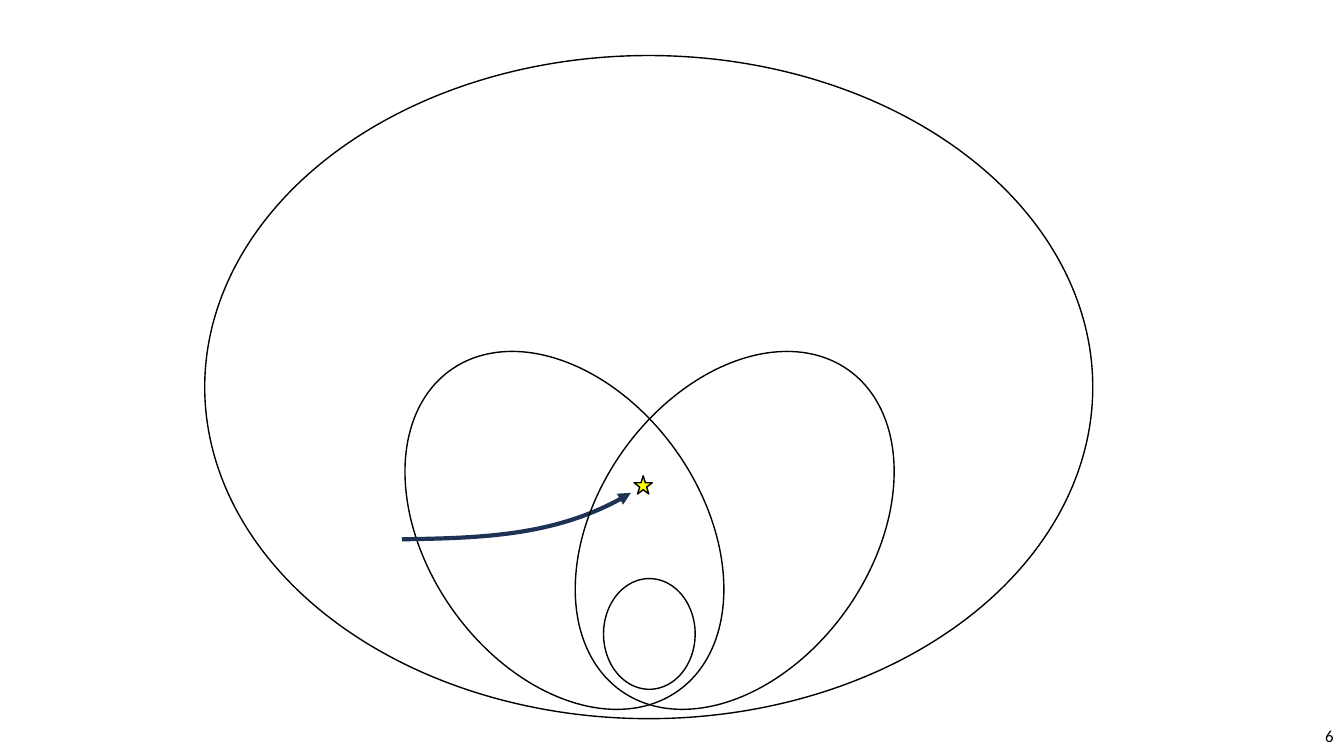
from lxml.etree import SubElement
from pptx import Presentation
from pptx.dml.color import RGBColor
from pptx.enum.shapes import MSO_SHAPE as SHAPE
from pptx.enum.text import MSO_ANCHOR as ANCHOR, PP_ALIGN as ALIGN
from pptx.oxml.ns import qn
from pptx.util import Cm, Pt

BLACK, WHITE, YELLOW, NAVY = "000000", "FFFFFF", "FFFF00", "1E3256"


def rgb(value):
    return RGBColor.from_string(value)


def style(sp, line, width, fill=None):
    sp.shadow.inherit = False
    sp.line.color.rgb = rgb(line)
    sp.line.width = Pt(width)
    if fill:
        sp.fill.solid()
        sp.fill.fore_color.rgb = rgb(fill)
    else:
        sp.fill.background()


def add_outline(s, kind, box, fill=None, rotation=0):
    sp = s.shapes.add_shape(kind, *[Cm(v) for v in box])
    style(sp, BLACK, 1, fill)
    sp.rotation = rotation


def add_curved_arrow(s, points):
    start, *rest = [(Cm(x), Cm(y)) for x, y in points]
    builder = s.shapes.build_freeform(*start)
    builder.add_line_segments(rest, close=False)
    sp = builder.convert_to_shape()
    style(sp, NAVY, 3)

    # Join the three segments into one Bezier curve
    path = next(sp._element.iter(qn("a:path")))
    segments = path.findall(qn("a:lnTo"))
    curve = SubElement(path, qn("a:cubicBezTo"))
    for segment in segments:
        curve.append(segment[0])
        path.remove(segment)

    # Arrowhead at the end
    SubElement(sp.line._get_or_add_ln(), qn("a:tailEnd"), type="triangle")


def add_set_diagram(s, left, top, width, height):
    def place(x, y, w, h):
        return left + x, top + y, w, h

    # Left set and the core shared by both sets
    add_outline(s, SHAPE.OVAL, place(5.61, 7.01, 6.91, 9.91), rotation=-35.3)
    add_outline(s, SHAPE.OVAL, place(10.05, 13.18, 2.31, 2.79), WHITE)

    # Star in the overlap, with the arrow to it
    add_outline(s, SHAPE.STAR_5_POINT, place(10.82, 10.59, 0.46, 0.46), YELLOW)
    curve = [(4.97, 12.19), (6.91, 12.16), (8.96, 12.11), (10.74, 11.02)]
    add_curved_arrow(s, [(left + x, top + y) for x, y in curve])

    # Right set and the enclosing set
    add_outline(s, SHAPE.OVAL, place(9.9, 7.01, 6.91, 9.91), rotation=35.3)
    add_outline(s, SHAPE.OVAL, (left, top, width, height))


def add_page_number(s, text, *box):
    tf = s.shapes.add_textbox(*[Cm(v) for v in box]).text_frame
    tf.word_wrap = True
    tf.vertical_anchor = ANCHOR.MIDDLE
    p = tf.paragraphs[0]
    p.alignment = ALIGN.RIGHT
    r = p.add_run()
    r.text = text
    for name, value in {"name": "Calibri", "size": Pt(12)}.items():
        setattr(r.font, name, value)
    r.font.color.rgb = rgb(BLACK)


def main():
    prs = Presentation()
    prs.slide_width, prs.slide_height = Cm(33.87), Cm(19.05)
    s = prs.slides.add_slide(prs.slide_layouts[6])
    add_page_number(s, "6", 26.24, 18.03, 7.62, 1.02)
    add_set_diagram(s, 5.16, 1.4, 22.38, 16.71)
    prs.save("out.pptx")


if __name__ == "__main__":
    main()
